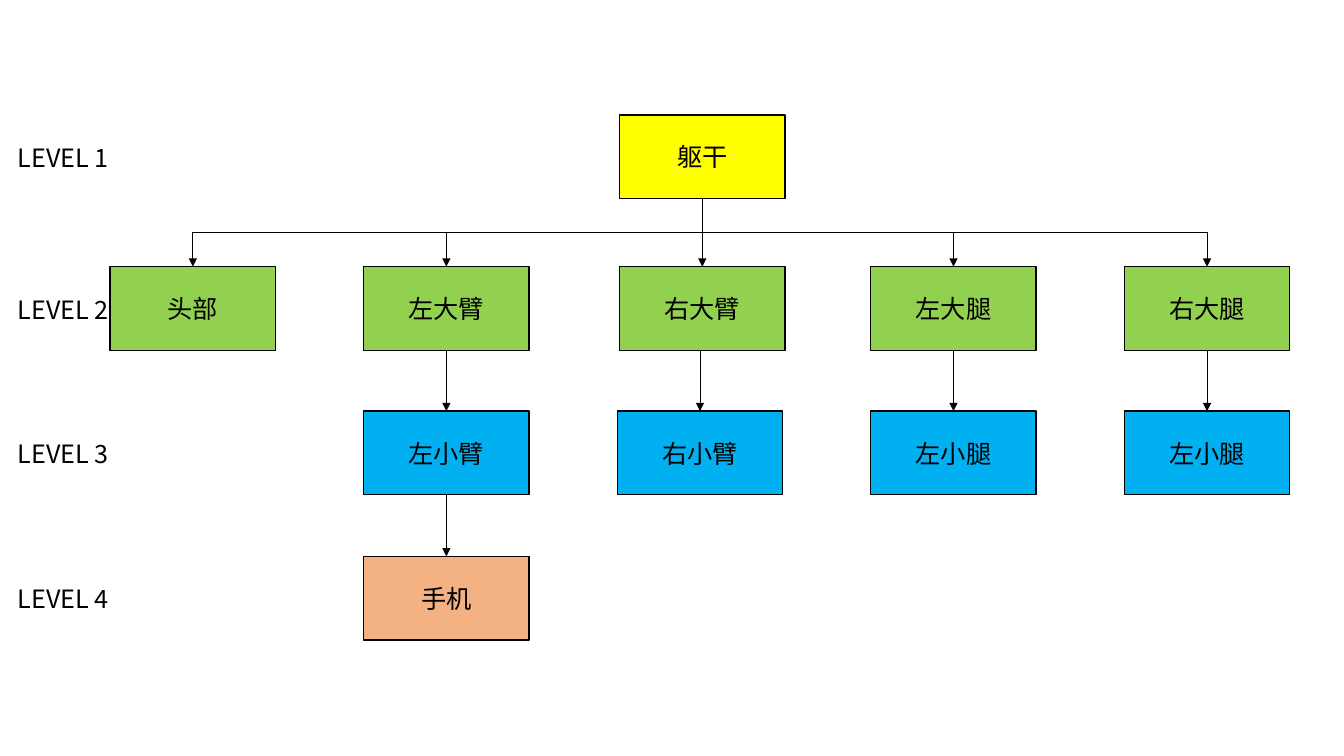
from lxml import etree
from pptx import Presentation
from pptx.dml.color import RGBColor
from pptx.enum.shapes import MSO_CONNECTOR, MSO_SHAPE
from pptx.enum.text import MSO_ANCHOR, PP_ALIGN
from pptx.oxml.ns import qn
from pptx.util import Cm, Pt

RECT = MSO_SHAPE.RECTANGLE
STRAIGHT, ELBOW = MSO_CONNECTOR.STRAIGHT, MSO_CONNECTOR.ELBOW
LEFT, CENTER = PP_ALIGN.LEFT, PP_ALIGN.CENTER
TOP, MIDDLE = MSO_ANCHOR.TOP, MSO_ANCHOR.MIDDLE
BOTTOM_SITE, TOP_SITE = 2, 0

# Content: each level has a label, a fill and its boxes as (column, text)
LEVELS = [
    ("LEVEL 1", "yellow", [(2, "躯干")]),
    ("LEVEL 2", "green", [(0, "头部"), (1, "左大臂"), (2, "右大臂"),
                          (3, "左大腿"), (4, "右大腿")]),
    ("LEVEL 3", "blue", [(1, "左小臂"), (2, "右小臂"), (3, "左小腿"), (4, "左小腿")]),
    ("LEVEL 4", "orange", [(1, "手机")]),
]
COLORS = {"yellow": "FFFF00", "green": "92D050", "blue": "00B0F0",
          "orange": "F4B183", "black": "000000"}
FONT = "Noto Sans CJK SC"

# Layout in centimetres
LEVEL_TOPS = [2.9, 6.72, 10.36, 14.02]
FIRST_CENTER, COLUMN_STEP = 4.86, 6.39
BOX_W, BOX_H = 4.17, 2.11
NUDGE = {(0, 2): 0.06, (1, 2): 0.06}  # trunk and right upper arm sit slightly right
LABEL_X, LABEL_DY, LABEL_W, LABEL_H = 0.2, 0.56, 2.95, 1.02


def color(name):
    return RGBColor.from_string(COLORS[name])


def write(sp, text, align=LEFT, anchor=TOP, size=18, fill="black"):
    tf = sp.text_frame
    tf.word_wrap = True
    tf.vertical_anchor = anchor
    p = tf.paragraphs[0]
    p.alignment = align
    r = p.add_run()
    r.text = text
    r.font.size = Pt(size)
    r.font.name = FONT
    r.font.color.rgb = color(fill)
    etree.SubElement(r.font._element, qn("a:ea"), typeface=FONT)


def add_box(shapes, cx, top, text, fill):
    sp = shapes.add_shape(RECT, Cm(cx - BOX_W / 2), Cm(top), Cm(BOX_W), Cm(BOX_H))
    sp.shadow.inherit = False
    sp.fill.solid()
    sp.fill.fore_color.rgb = color(fill)
    sp.line.color.rgb = color("black")
    sp.line.width = Pt(1)
    write(sp, text, align=CENTER, anchor=MIDDLE)
    return sp


def style_arrow(cxn):
    cxn.line.color.rgb = color("black")
    cxn.line.width = Pt(0.5)
    etree.SubElement(cxn.line._get_or_add_ln(), qn("a:tailEnd"), type="triangle")
    etree.SubElement(cxn._element.spPr, qn("a:effectLst"))


def add_drop(shapes, parent, child):
    """Vertical arrow above the centre of the child."""
    x = child.left + child.width // 2
    cxn = shapes.add_connector(STRAIGHT, x, parent.top + parent.height, x, child.top)
    if parent.left == child.left:
        cxn.begin_connect(parent, BOTTOM_SITE)
    cxn.end_connect(child, TOP_SITE)
    style_arrow(cxn)


def add_branch(shapes, parent, child):
    """Elbow arrow that leaves downwards: a level elbow turned a quarter."""
    x1, x2 = parent.left + parent.width // 2, child.left + child.width // 2
    y1, y2 = parent.top + parent.height, child.top
    mid_x, mid_y = (x1 + x2) // 2, (y1 + y2) // 2
    half_w, half_h = abs(x2 - x1) // 2, (y2 - y1) // 2
    side = 1 if x2 > x1 else -1
    cxn = shapes.add_connector(ELBOW, mid_x + side * half_h, mid_y - half_w,
                               mid_x - side * half_h, mid_y + half_w)
    angle = 270 if side > 0 else 90
    cxn._element.spPr.find(qn("a:xfrm")).set("rot", str(angle * 60000))
    style_arrow(cxn)


def main():
    prs = Presentation()
    prs.slide_width, prs.slide_height = Cm(33.87), Cm(19.05)
    shapes = prs.slides.add_slide(prs.slide_layouts[6]).shapes

    # Level labels and boxes
    boxes = {}
    for level, ((label, fill, items), top) in enumerate(zip(LEVELS, LEVEL_TOPS)):
        sp = shapes.add_textbox(Cm(LABEL_X), Cm(top + LABEL_DY), Cm(LABEL_W), Cm(LABEL_H))
        write(sp, label)
        for col, text in items:
            cx = FIRST_CENTER + col * COLUMN_STEP + NUDGE.get((level, col), 0)
            boxes[level, col] = add_box(shapes, cx, top, text, fill)

    # Arrows: from the box above, or from the trunk
    for (level, col), child in boxes.items():
        if level == 0:
            continue
        if (level - 1, col) in boxes:
            add_drop(shapes, boxes[level - 1, col], child)
        else:
            add_branch(shapes, boxes[0, 2], child)

    prs.save("out.pptx")


if __name__ == "__main__":
    main()
